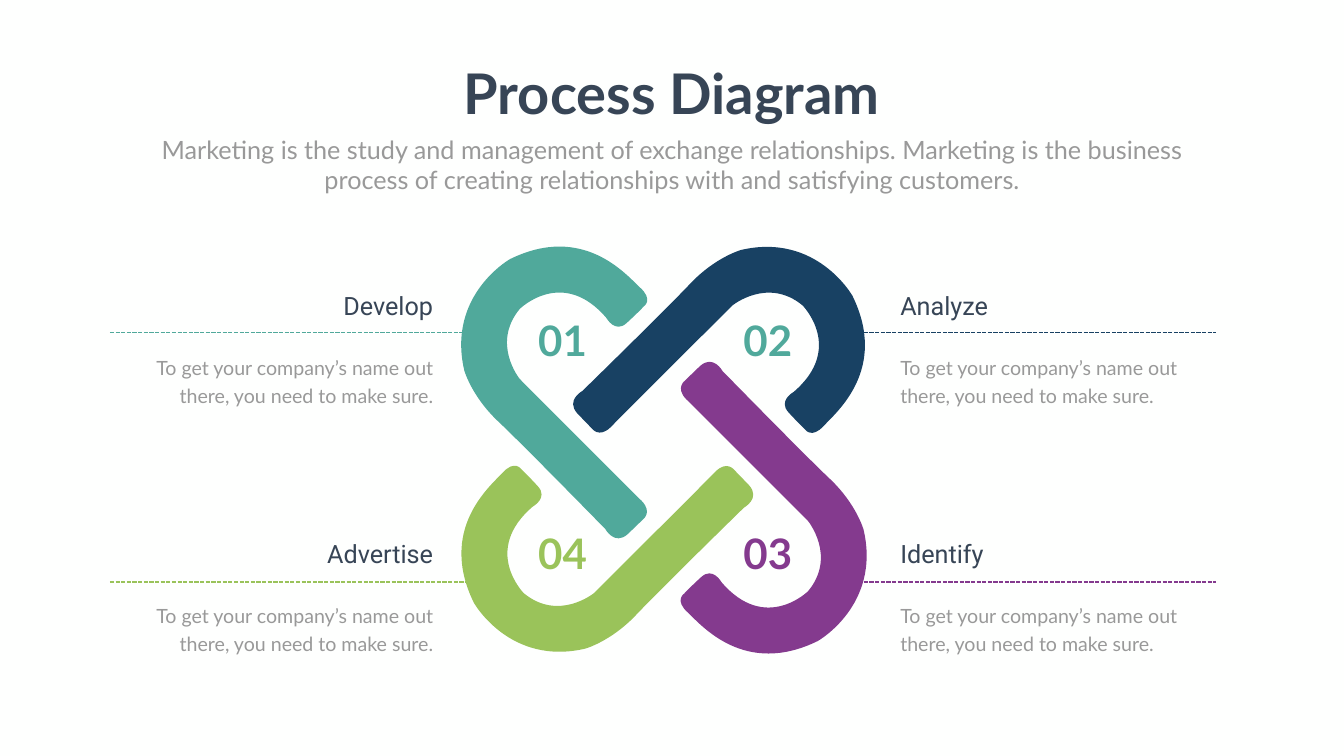
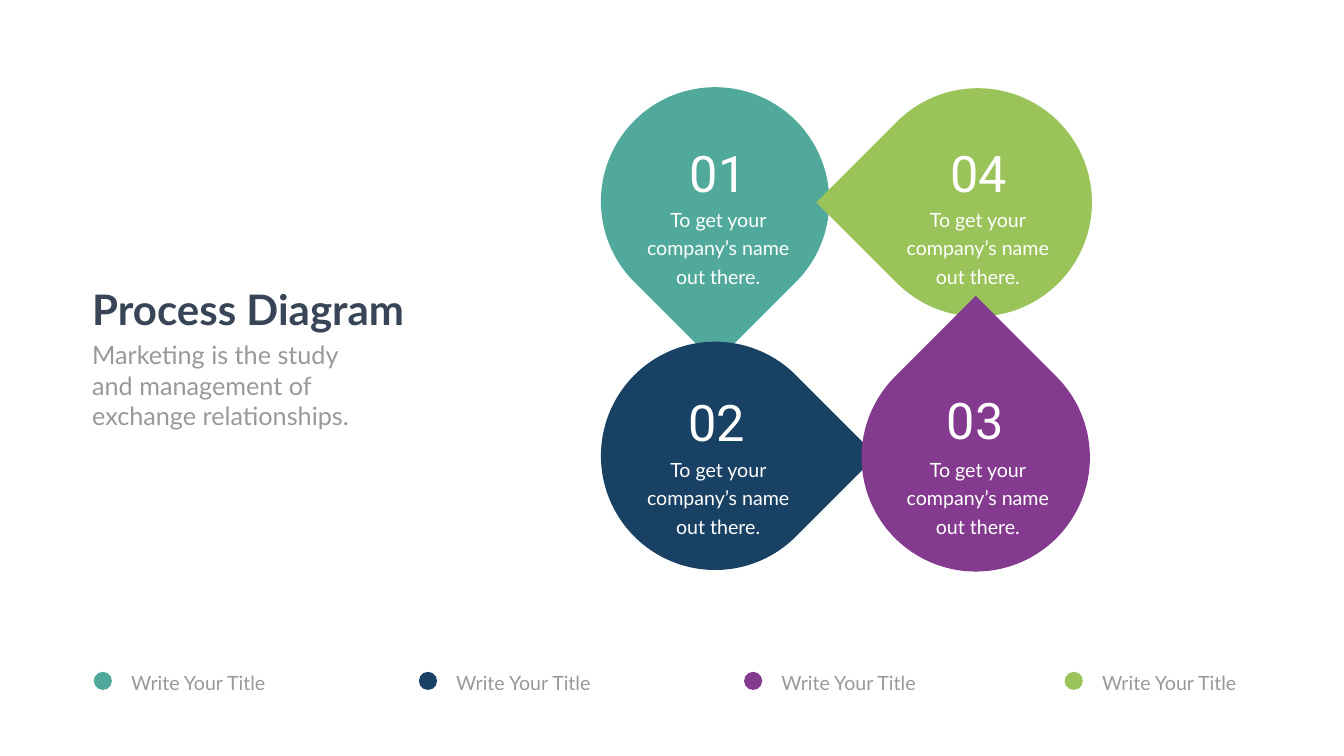
from pptx import Presentation
from pptx.dml.color import RGBColor
from pptx.enum.dml import MSO_LINE
from pptx.enum.shapes import MSO_CONNECTOR, MSO_SHAPE
from pptx.enum.text import MSO_AUTO_SIZE, PP_ALIGN
from pptx.oxml.ns import qn
from pptx.util import Pt
from lxml.etree import SubElement

PX = 9144
COLORS = {
    "ground": "FEFFFE", "ink": "374556", "muted": "999999", "white": "FFFFFF",
    "teal": "50A99B", "navy": "184163", "purple": "843A8E", "green": "9AC35A",
}
LEFT, CENTER, RIGHT = PP_ALIGN.LEFT, PP_ALIGN.CENTER, PP_ALIGN.RIGHT

RIBBON_W, RIBBON_H = 411, 640
RIBBON = [
    (317, 188),
    (317, 188), (334, 219), (357, 198),
    (380, 177), (391, 165), (391, 165),
    (391, 165), (411, 152), (383, 127),
    (356, 102), (271, 0), (126, 71),
    (126, 71), (0, 142), (35, 292),
    (35, 292), (49, 342), (100, 391),
    (152, 440), (315, 607), (315, 607),
    (315, 607), (333, 640), (359, 617),
    (384, 593), (389, 588), (389, 588),
    (389, 588), (409, 574), (387, 551),
    (364, 529), (145, 309), (145, 309),
    (145, 309), (88, 239), (145, 170),
    (145, 170), (230, 86), (317, 188),
]
QUARTER_TURNS = [
    lambda x, y: (x, y),
    lambda x, y: (RIBBON_H - y, x),
    lambda x, y: (RIBBON_W - x, RIBBON_H - y),
    lambda x, y: (y, RIBBON_W - x),
]
RIBBONS = [("teal", 886, 443), ("navy", 1122, 461),
           ("purple", 1337, 703), ("green", 869, 911)]
CALLOUTS = [
    ("Develop", "01", "teal", "teal", 0, 0),
    ("Analyze", "02", "navy", "teal", 1, 0),
    ("Identify", "03", "purple", "purple", 1, 1),
    ("Advertise", "04", "green", "green", 0, 1),
]
DROPS = [
    ("01", "teal", (1192, 173), 135, (140, 104), (78, 224)),
    ("02", "navy", (1192, 678), 45, (137, 93), (78, 215)),
    ("04", "green", (1713, 175), 225, (136, 102), (72, 222)),
    ("03", "purple", (1709, 681), 315, (133, 87), (76, 212)),
]
LEGEND = [("teal", 186), ("navy", 831), ("purple", 1476), ("green", 2112)]


def rgb(color):
    return RGBColor.from_string(COLORS[color])


def emu(*lengths):
    return [length * PX for length in lengths]


def paint(shape, color):
    shape.shadow.inherit = False
    shape.fill.solid()
    shape.fill.fore_color.rgb = rgb(color)
    shape.line.fill.background()


def add_text(slide, box, words, size, color, font="Lato", bold=False,
             align=LEFT, spacing=None, wrap=True, inset=None):
    frame = slide.shapes.add_textbox(*emu(*box)).text_frame
    frame.word_wrap = wrap
    frame.auto_size = MSO_AUTO_SIZE.SHAPE_TO_FIT_TEXT
    if inset:
        frame.margin_left, frame.margin_top = emu(*inset)
        frame.margin_right, frame.margin_bottom = emu(*inset)
    paragraph = frame.paragraphs[0]
    paragraph.alignment = align
    if spacing:
        paragraph.line_spacing = Pt(spacing)
    run = paragraph.add_run()
    run.text = words
    run.font.name = font
    run.font.size = Pt(size)
    run.font.bold = bold
    run.font.color.rgb = rgb(color)


def add_body(slide, box, words, color="muted", align=LEFT, inset=None):
    add_text(slide, box, words, 28, color, align=align, spacing=40.8, inset=inset)


def add_heading(slide, title_box, intro_box, intro, size, align=LEFT, wrap=True):
    add_text(slide, title_box, "Process Diagram", size, "ink", bold=True,
             align=align, wrap=wrap)
    add_text(slide, intro_box, intro, 36, "muted", align=align)


def add_ribbon(slide, color, left, top, turn):
    points = [(left + x, top + y) for x, y in (turn(*point) for point in RIBBON)]
    builder = slide.shapes.build_freeform(*points[0], scale=float(PX))
    builder.add_line_segments(points[1:], close=True)
    ribbon = builder.convert_to_shape()
    segments = list(ribbon.element.iter(qn("a:lnTo")))
    for start in range(0, len(segments), 3):
        trio = segments[start:start + 3]
        curve = SubElement(trio[0].getparent(), qn("a:cubicBezTo"))
        trio[0].addprevious(curve)
        for segment in trio:
            curve.append(segment[0])
            segment.getparent().remove(segment)
    paint(ribbon, color)


def add_rule(slide, left, right, y, color):
    rule = slide.shapes.add_connector(MSO_CONNECTOR.STRAIGHT, *emu(left, y, right, y))
    rule.line.color.rgb = rgb(color)
    rule.line.width = Pt(2)
    rule.line.dash_style = MSO_LINE.SQUARE_DOT
    SubElement(rule.element.spPr, qn("a:effectLst"))


def add_callout(slide, title, number, color, number_color, column, row):
    left, top = (220, 1776)[column], (571, 1063)[row]
    width, title_width = 649, 439
    align = (RIGHT, LEFT)[column]
    title_left = (left + width - title_width, left)[column]
    rule_left = (left - 2, left - 96)[column]
    add_rule(slide, rule_left, rule_left + 733, (660, 1155)[row], color)
    add_text(slide, (title_left, top, title_width, 71), title, 36, "ink",
             font="Roboto", align=align)
    add_body(slide, (left, top + 120, width, 119),
             "To get your company’s name out there, you need to make sure.",
             align=align)
    add_text(slide, (1048 + 407 * column, 619 + 423 * row, 136, 111), number, 60,
             number_color, bold=True, align=CENTER)


def add_drop(slide, number, color, origin, rotation, number_offset, body_offset):
    left, top = origin
    drop = slide.shapes.add_shape(MSO_SHAPE.TEAR, *emu(left, top, 453, 453))
    drop.rotation = rotation
    paint(drop, color)
    x, y = number_offset
    add_text(slide, (left + x, top + y, 185, 120), number, 72, "white",
             font="Roboto", align=CENTER)
    x, y = body_offset
    add_body(slide, (left + x, top + y, 309, 162),
             "To get your company’s name out there.", "white", CENTER)


def add_legend_entry(slide, color, left, top=1333):
    dot = slide.shapes.add_shape(MSO_SHAPE.OVAL, *emu(left, top, 36, 36))
    paint(dot, color)
    add_body(slide, (left + 50, top - 24, 355, 75), "Write Your Title", inset=(24, 12))


def add_slide(deck):
    slide = deck.slides.add_slide(deck.slide_layouts[6])
    slide.background.fill.solid()
    slide.background.fill.fore_color.rgb = rgb("ground")
    return slide


def build_knot_slide(deck):
    slide = add_slide(deck)
    for (color, left, top), turn in zip(RIBBONS, QUARTER_TURNS):
        add_ribbon(slide, color, left, top, turn)
    for callout in CALLOUTS:
        add_callout(slide, *callout)
    add_heading(slide, (901, 112, 863, 145), (292, 261, 2082, 131),
                "Marketing is the study and management of exchange relationships. "
                "Marketing is the business process of creating relationships with "
                "and satisfying customers.", 80, CENTER, wrap=False)


def build_drops_slide(deck):
    slide = add_slide(deck)
    for drop in DROPS:
        add_drop(slide, *drop)
    for color, left in LEGEND:
        add_legend_entry(slide, color, left)
    add_heading(slide, (173, 558, 715, 111), (173, 669, 596, 192),
                "Marketing is the study and management of exchange relationships.", 60)


def main():
    deck = Presentation()
    deck.slide_width, deck.slide_height = emu(2666, 1500)
    build_knot_slide(deck)
    build_drops_slide(deck)
    deck.save("out.pptx")


if __name__ == "__main__":
    main()
